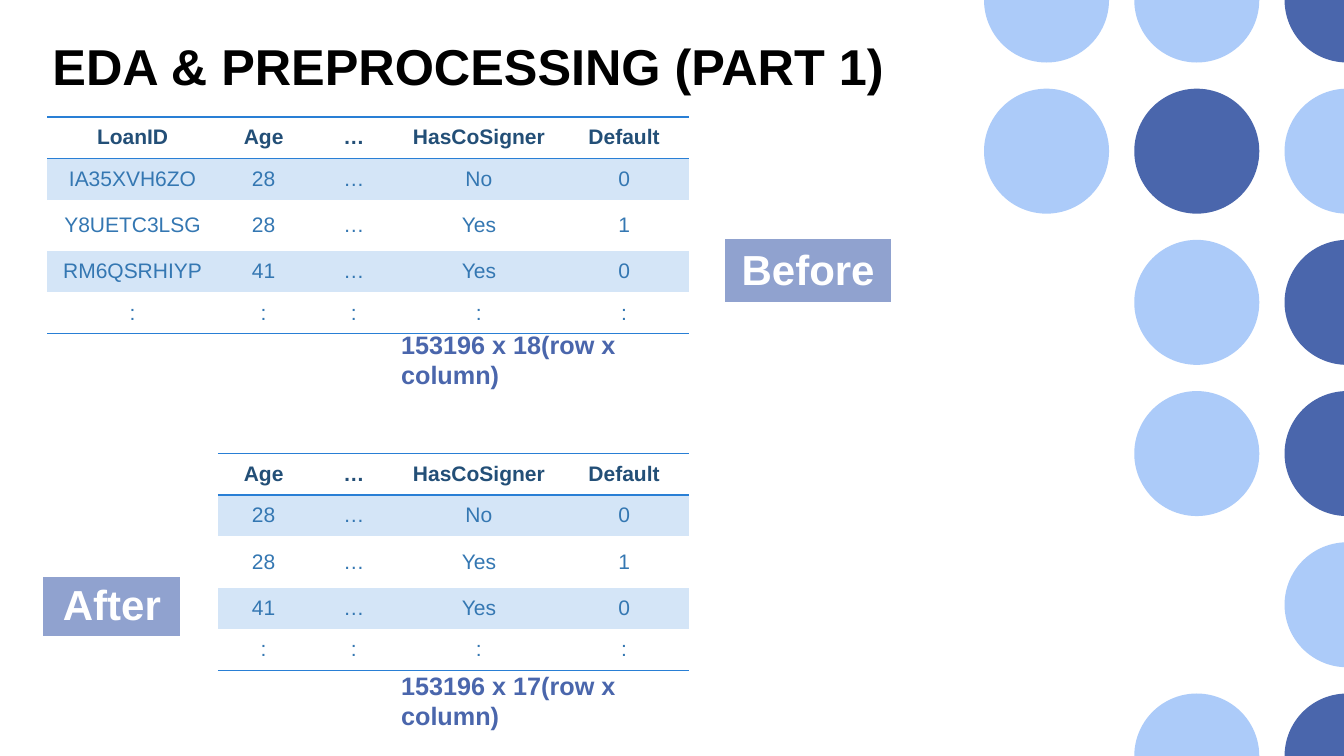
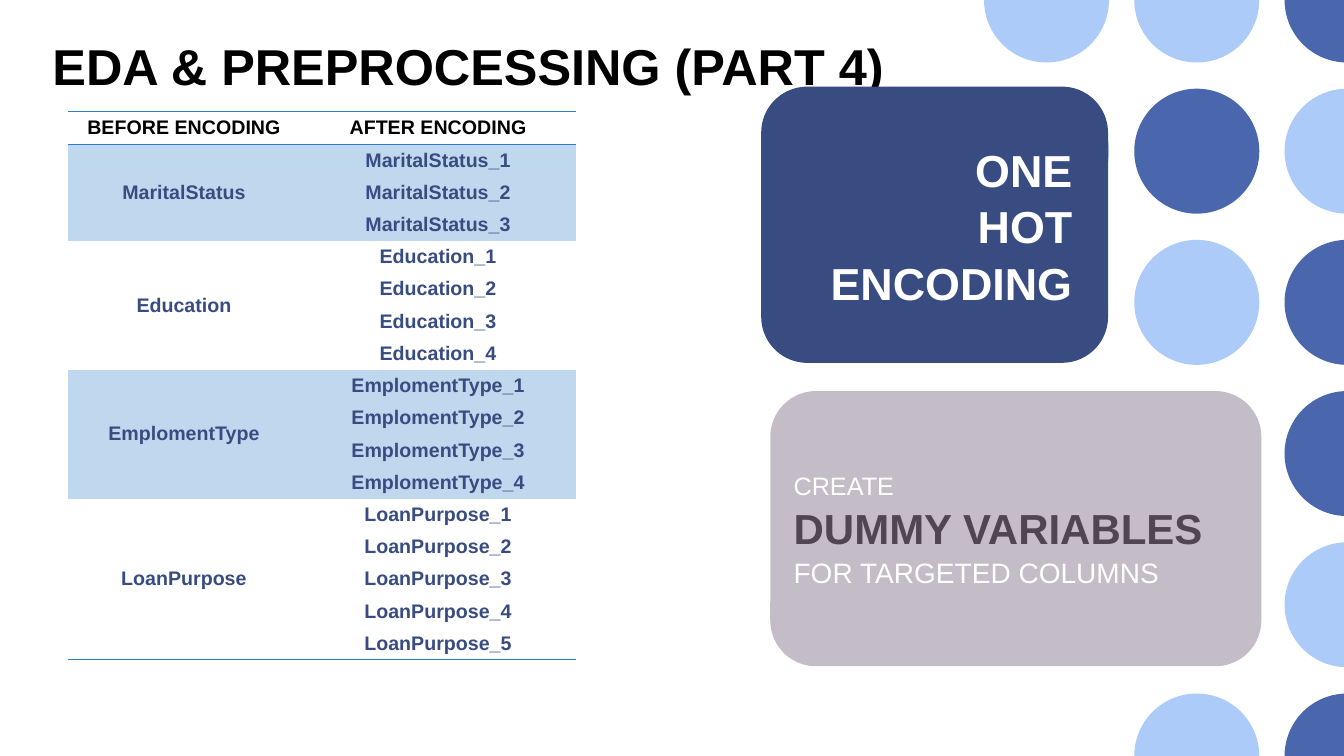
from math import acos, cos, degrees, radians, sin

from pptx import Presentation
from pptx.dml.color import RGBColor
from pptx.enum.shapes import MSO_SHAPE as SHAPE
from pptx.enum.text import MSO_ANCHOR as ANCHOR, MSO_AUTO_SIZE as AUTO, PP_ALIGN as ALIGN
from pptx.oxml import parse_xml
from pptx.oxml.ns import nsdecls, qn
from pptx.shapes.shapetree import SlideShapes
from pptx.util import Inches, Pt

W, H = 13.33, 7.5
FONT = "Arial"
WHITE, BLACK = "FFFFFF", "000000"
LIGHT, BLUE, NAVY = "ACCBF9", "4A66AC", "384C81"
RULE, HEAD, BODY = "297FD5", "234F77", "3477B2"
STRIPE, BAND, LABEL = "D4E5F7", "C0D8ED", "90A2CF"
MAUVE, PLUM = "C4BCC6", "504652"
NO_STYLE = "{2D5ABB26-0587-4C30-8999-92F81FD0307C}"

# Circle pattern: one string per row, L light, D dark, - empty
DOTS = ["LLD", "LDL", "-LD", "-LD", "--L", "-LD"]
DOT_R, DOT_X, DOT_DX, DOT_DY = 0.62, 10.38, 1.49, 1.5

COLS = [1.69, 0.91, 0.88, 1.6, 1.28]
ROWS = [0.41, 0.41, 0.51, 0.41, 0.41]
LOANS = [
    ["LoanID", "Age", "…", "HasCoSigner", "Default"],
    ["IA35XVH6ZO", "28", "…", "No", "0"],
    ["Y8UETC3LSG", "28", "…", "Yes", "1"],
    ["RM6QSRHIYP", "41", "…", "Yes", "0"],
    [":"] * 5,
]
ENCODED = {"MaritalStatus": 3, "Education": 4, "EmplomentType": 4, "LoanPurpose": 5}


def rgb(hex_code):
    return RGBColor.from_string(hex_code)


def box(x, y, w, h):
    return [Inches(v) for v in (x, y, w, h)]


def paint(sp, color):
    sp.shadow.inherit = False
    sp.fill.solid()
    sp.fill.fore_color.rgb = rgb(color)
    sp.line.fill.background()


def add_run(p, text, size, color, bold=True):
    r = p.add_run()
    r.text = text
    r.font.name, r.font.size, r.font.bold = FONT, Pt(size), bold
    r.font.color.rgb = rgb(color)


# Shared layout: title position and circles cut at the slide's edge
def add_cut_circle(shapes, cx, cy):
    at_top, at_bottom, at_right = cy < DOT_R, cy > H - DOT_R, cx > W - DOT_R
    edge = degrees(acos((W - cx) / DOT_R)) if at_right else 0
    start = 180 if at_bottom else edge
    end = 180 if at_top else 360 - edge
    angles = [start, *(a for a in (90, 180, 270) if start < a < end), end]
    pts = [(cx + DOT_R * cos(radians(a)), cy + DOT_R * sin(radians(a))) for a in angles]
    if at_right and (at_top or at_bottom):
        pts.append((W, 0 if at_top else H))
    pts = [(Inches(x), Inches(y)) for x, y in pts]
    outline = shapes.build_freeform(*pts[0], scale=1.0)
    outline.add_line_segments(pts[1:], close=True)
    sp = outline.convert_to_shape()
    # Bend the straight segments into arcs
    segments = list(sp._element.iter(qn("a:lnTo")))
    for seg, a, b in zip(segments, angles, angles[1:]):
        arc = parse_xml(f'<a:arcTo {nsdecls("a")} wR="{Inches(DOT_R)}" hR="{Inches(DOT_R)}" '
                        f'stAng="{round(a * 60000)}" swAng="{round((b - a) * 60000)}"/>')
        seg.getparent().replace(seg, arc)
    return sp


def add_circle(shapes, cx, cy, color):
    if cx + DOT_R <= W and DOT_R <= cy <= H - DOT_R:
        sp = shapes.add_shape(SHAPE.OVAL, *box(cx - DOT_R, cy - DOT_R, 2 * DOT_R, 2 * DOT_R))
    else:
        sp = add_cut_circle(shapes, cx, cy)
    paint(sp, color)


def build_layout(prs):
    layout = prs.slide_layouts.get_by_name("Title Only")
    title = layout.placeholders[0]
    title.left, title.top, title.width, title.height = box(0.42, 0.25, 8.72, 0.92)
    shapes = SlideShapes(layout.shapes._spTree, layout)
    for row, marks in enumerate(DOTS):
        for col, mark in enumerate(marks):
            if mark != "-":
                add_circle(shapes, DOT_X + col * DOT_DX, row * DOT_DY,
                           LIGHT if mark == "L" else BLUE)
    return layout


def add_titled_slide(prs, layout, text):
    s = prs.slides.add_slide(layout)
    tf = s.shapes.title.text_frame
    tf.auto_size, tf.vertical_anchor = AUTO.NONE, ANCHOR.TOP
    tf.margin_top = Inches(0.1)
    p = tf.paragraphs[0]
    p.alignment, p.line_spacing = ALIGN.LEFT, 1.0
    add_run(p, text, 36, BLACK)
    return s


# Tables
def rule(cell, side):
    ln = parse_xml(f'<a:ln{side} {nsdecls("a")} w="12700"><a:solidFill>'
                   f'<a:srgbClr val="{RULE}"/></a:solidFill></a:ln{side}>')
    cell._tc.get_or_add_tcPr().insert(0, ln)


def add_grid(s, x, y, widths, heights):
    frame = s.shapes.add_table(len(heights), len(widths),
                               *box(x, y, sum(widths), sum(heights)))
    table = frame.table
    table.first_row = table.horz_banding = False
    table._tbl.tblPr.find(qn("a:tableStyleId")).text = NO_STYLE
    for col, w in zip(table.columns, widths):
        col.width = Inches(w)
    for row, h in zip(table.rows, heights):
        row.height = Inches(h)
    return table


def fill_cell(cell, text, size, color, fill=None, bold=True):
    cell.vertical_anchor = ANCHOR.MIDDLE
    cell.margin_top = cell.margin_bottom = Inches(0.04)
    if fill:
        cell.fill.solid()
        cell.fill.fore_color.rgb = rgb(fill)
    else:
        cell.fill.background()
    p = cell.text_frame.paragraphs[0]
    p.alignment = ALIGN.CENTER
    if text:
        add_run(p, text, size, color, bold)


def rule_table(table):
    last = len(table.rows) - 1
    for col in range(len(table.columns)):
        rule(table.cell(0, col), "B")
        rule(table.cell(0, col), "T")
        rule(table.cell(last, col), "B")


def add_loan_table(s, x, y, first_col):
    table = add_grid(s, x, y, COLS[first_col:], ROWS)
    for i, row in enumerate(LOANS):
        for j, text in enumerate(row[first_col:]):
            fill_cell(table.cell(i, j), text, 15, BODY if i else HEAD,
                      STRIPE if i % 2 else None, bold=i == 0)
    rule_table(table)


def add_label(s, x, y, w, h, text):
    fill_cell(add_grid(s, x, y, [w], [h]).cell(0, 0), text, 30, WHITE, LABEL)


def add_encoding_table(s, x, y):
    table = add_grid(s, x, y, [2.31, 2.73], [0.32] * (1 + sum(ENCODED.values())))
    for col, text in enumerate(["BEFORE ENCODING", "AFTER ENCODING"]):
        fill_cell(table.cell(0, col), text, 14, BLACK)
    top = 1
    for i, (name, count) in enumerate(ENCODED.items()):
        fill = WHITE if i % 2 else BAND
        for k in range(count):
            fill_cell(table.cell(top + k, 0), "" if k else name, 14, NAVY, fill)
            fill_cell(table.cell(top + k, 1), f"{name}_{k + 1}", 14, NAVY, fill)
        group = table.cell(top, 0)
        group.merge(table.cell(top + count - 1, 0))
        top += count
    rule_table(table)
    rule(group, "B")


# Text parts
def add_caption(s, x, y, text):
    tf = s.shapes.add_textbox(*box(x, y, 3.11, 0.71)).text_frame
    tf.word_wrap = True
    add_run(tf.paragraphs[0], text, 18, BLUE)


def add_card(s, x, y, w, h, color, align, lines, right=0.1):
    sp = s.shapes.add_shape(SHAPE.ROUNDED_RECTANGLE, *box(x, y, w, h))
    paint(sp, color)
    tf = sp.text_frame
    tf.word_wrap, tf.vertical_anchor = True, ANCHOR.MIDDLE
    tf.margin_right = Inches(right)
    for i, line in enumerate(lines):
        p = tf.add_paragraph() if i else tf.paragraphs[0]
        p.alignment, p.line_spacing = align, 1.05
        add_run(p, *line)


# Slides
def build_cleaning(prs, layout):
    s = add_titled_slide(prs, layout, "EDA & PREPROCESSING (PART 1)")
    left = 0.47
    add_loan_table(s, left, 1.16, 0)
    add_caption(s, 3.88, 3.22, "153196 x 18(row x column)")
    add_loan_table(s, left + COLS[0], 4.5, 1)
    add_label(s, 7.19, 2.37, 1.65, 0.63, "Before")
    add_label(s, 0.43, 5.72, 1.36, 0.59, "After")
    add_caption(s, 3.88, 6.6, "153196 x 17(row x column)")


def build_encoding(prs, layout):
    s = add_titled_slide(prs, layout, "EDA & PREPROCESSING (PART 4)")
    add_card(s, 7.64, 3.88, 4.87, 2.73, MAUVE, ALIGN.LEFT,
             [("CREATE", 18, WHITE, False),
              ("DUMMY VARIABLES", 30, PLUM),
              ("FOR TARGETED COLUMNS", 20, WHITE, False)])
    add_encoding_table(s, 0.67, 1.11)
    add_card(s, 7.55, 0.86, 3.44, 2.74, NAVY, ALIGN.RIGHT,
             [(word, 32, WHITE) for word in ("ONE", "HOT", "ENCODING")], right=0.22)


def main():
    prs = Presentation()
    prs.slide_width, prs.slide_height = Inches(W), Inches(H)
    layout = build_layout(prs)
    build_cleaning(prs, layout)
    build_encoding(prs, layout)
    prs.save("out.pptx")


if __name__ == "__main__":
    main()
